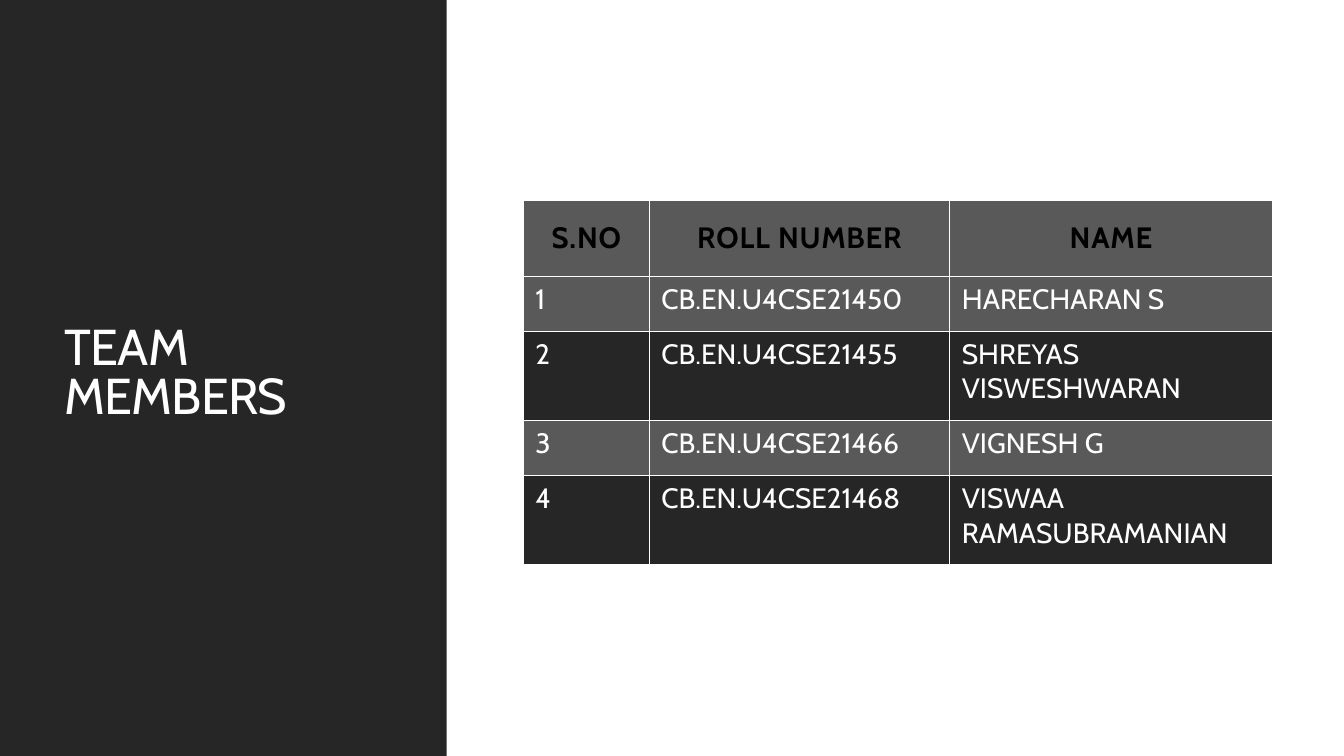
from dataclasses import dataclass

import pptx
import pptx.dml.color
import pptx.enum.shapes
import pptx.enum.text
import pptx.oxml
import pptx.oxml.ns
import pptx.util
from pptx.util import Inches

TITLE_ONLY = 5


@dataclass(frozen=True)
class Theme:
    font: str = "Cabin"
    white: str = "FFFFFF"
    black: str = "000000"
    dark: str = "262626"
    grey: str = "595959"
    title_size: int = 36
    header_size: int = 21
    body_size: int = 20


THEME = Theme()

HEADINGS = ("S.NO", "ROLL NUMBER", "NAME")
MEMBERS = (
    ("1", "CB.EN.U4CSE21450", "HARECHARAN S"),
    ("2", "CB.EN.U4CSE21455", "SHREYAS VISWESHWARAN"),
    ("3", "CB.EN.U4CSE21466", "VIGNESH G"),
    ("4", "CB.EN.U4CSE21468", "VISWAA RAMASUBRAMANIAN"),
)
COLUMN_WIDTHS = (1.25, 2.98, 3.2)
ROW_HEIGHTS = (0.75, 0.55, 0.88, 0.55, 0.88)


def rgb(value):
    return pptx.dml.color.RGBColor.from_string(value)


def format_text(paragraph, size, color, bold=False, tracking=0.0):
    """Format every run; tracking is the letter spacing in points."""
    for run in paragraph.runs:
        run.font.name = THEME.font
        run.font.size = pptx.util.Pt(size)
        run.font.bold = bold
        run.font.color.rgb = rgb(color)
        run._r.get_or_add_rPr().set("spc", str(round(tracking * 100)))


def add_side_panel(slide):
    panel = slide.shapes.add_shape(
        pptx.enum.shapes.MSO_SHAPE.RECTANGLE, 0, 0, Inches(4.43), Inches(7.5))
    panel.shadow.inherit = False
    panel.fill.solid()
    panel.fill.fore_color.rgb = rgb(THEME.dark)
    panel.line.fill.background()
    # The panel lies behind the title placeholder.
    slide.shapes._spTree.insert(2, panel._element)


def set_title(slide, text):
    title = slide.shapes.title
    title.left, title.top = Inches(0.54), Inches(0.57)
    title.width, title.height = Inches(3.37), Inches(6.31)
    frame = title.text_frame
    frame.text = text
    frame.word_wrap = True
    frame.auto_size = pptx.enum.text.MSO_AUTO_SIZE.NONE
    frame.vertical_anchor = pptx.enum.text.MSO_ANCHOR.MIDDLE
    paragraph = frame.paragraphs[0]
    paragraph.alignment = pptx.enum.text.PP_ALIGN.LEFT
    paragraph.line_spacing = 0.8
    format_text(paragraph, THEME.title_size, THEME.white, tracking=-0.5)


def set_borders(cell):
    properties = cell._tc.get_or_add_tcPr()
    for position, side in enumerate(("lnL", "lnR", "lnT", "lnB")):
        border = pptx.oxml.parse_xml(
            f'<a:{side} {pptx.oxml.ns.nsdecls("a")} w="12700"><a:solidFill>'
            f'<a:srgbClr val="{THEME.white}"/></a:solidFill></a:{side}>')
        properties.insert(position, border)


def set_cell(cell, text, fill, margins):
    cell.text_frame.text = text
    (cell.margin_left, cell.margin_top,
     cell.margin_right, cell.margin_bottom) = map(Inches, margins)
    cell.fill.solid()
    cell.fill.fore_color.rgb = rgb(fill)
    set_borders(cell)
    return cell.text_frame.paragraphs[0]


def add_members_table(slide):
    table = slide.shapes.add_table(
        len(ROW_HEIGHTS), len(COLUMN_WIDTHS), Inches(5.19), Inches(1.99),
        Inches(sum(COLUMN_WIDTHS)), Inches(sum(ROW_HEIGHTS))).table
    for column, width in zip(table.columns, COLUMN_WIDTHS):
        column.width = Inches(width)
    for row, height in zip(table.rows, ROW_HEIGHTS):
        row.height = Inches(height)

    for cell, heading in zip(table.rows[0].cells, HEADINGS):
        paragraph = set_cell(cell, heading, THEME.grey, (0.18,) * 4)
        cell.vertical_anchor = pptx.enum.text.MSO_ANCHOR.MIDDLE
        paragraph.alignment = pptx.enum.text.PP_ALIGN.CENTER
        format_text(paragraph, THEME.header_size, THEME.black,
                    bold=True, tracking=0.6)

    for number, member in enumerate(MEMBERS, start=1):
        fill = THEME.grey if number % 2 else THEME.dark
        for cell, value in zip(table.rows[number].cells, member):
            paragraph = set_cell(cell, value, fill, (0.12, 0.06, 0.12, 0.12))
            format_text(paragraph, THEME.body_size, THEME.white)


def main():
    presentation = pptx.Presentation()
    presentation.slide_width = Inches(13.33)
    presentation.slide_height = Inches(7.5)
    slide = presentation.slides.add_slide(
        presentation.slide_layouts[TITLE_ONLY])
    slide.background.fill.solid()
    slide.background.fill.fore_color.rgb = rgb(THEME.white)
    add_side_panel(slide)
    set_title(slide, "TEAM MEMBERS")
    add_members_table(slide)
    presentation.save("out.pptx")


if __name__ == "__main__":
    main()
